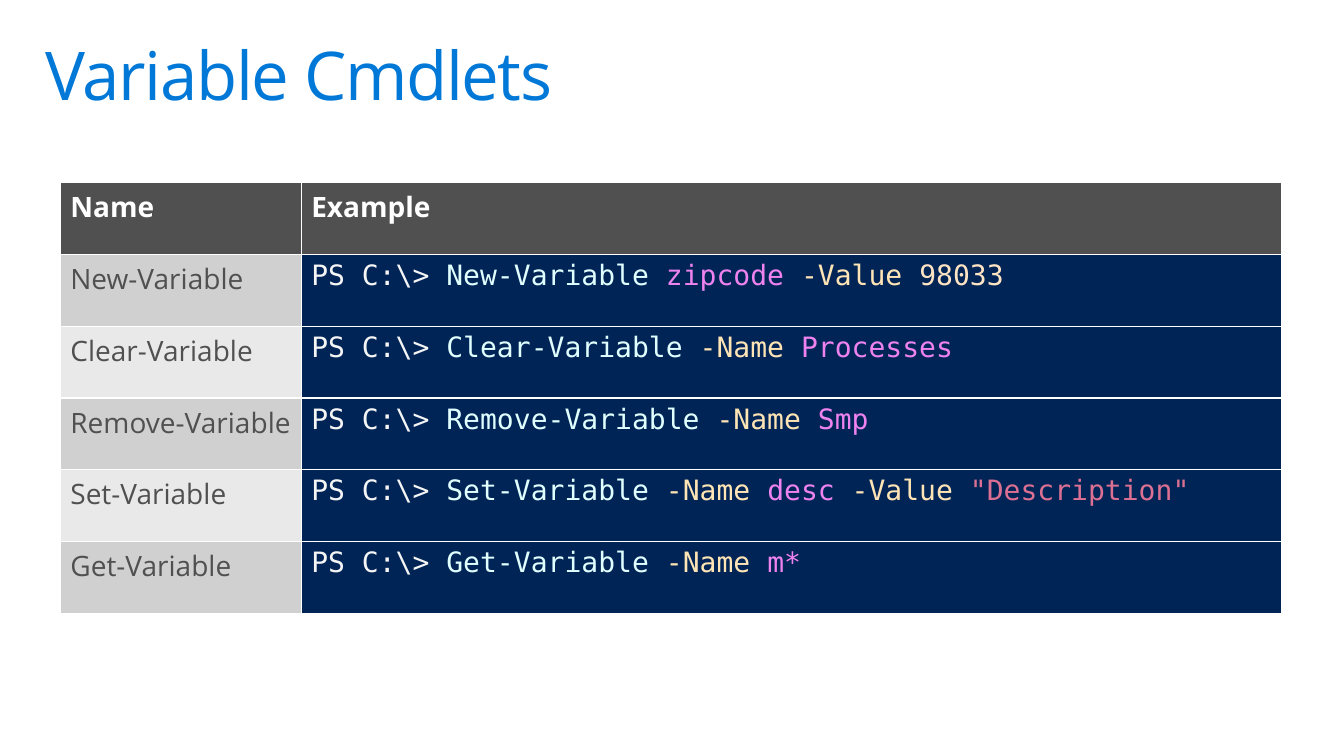
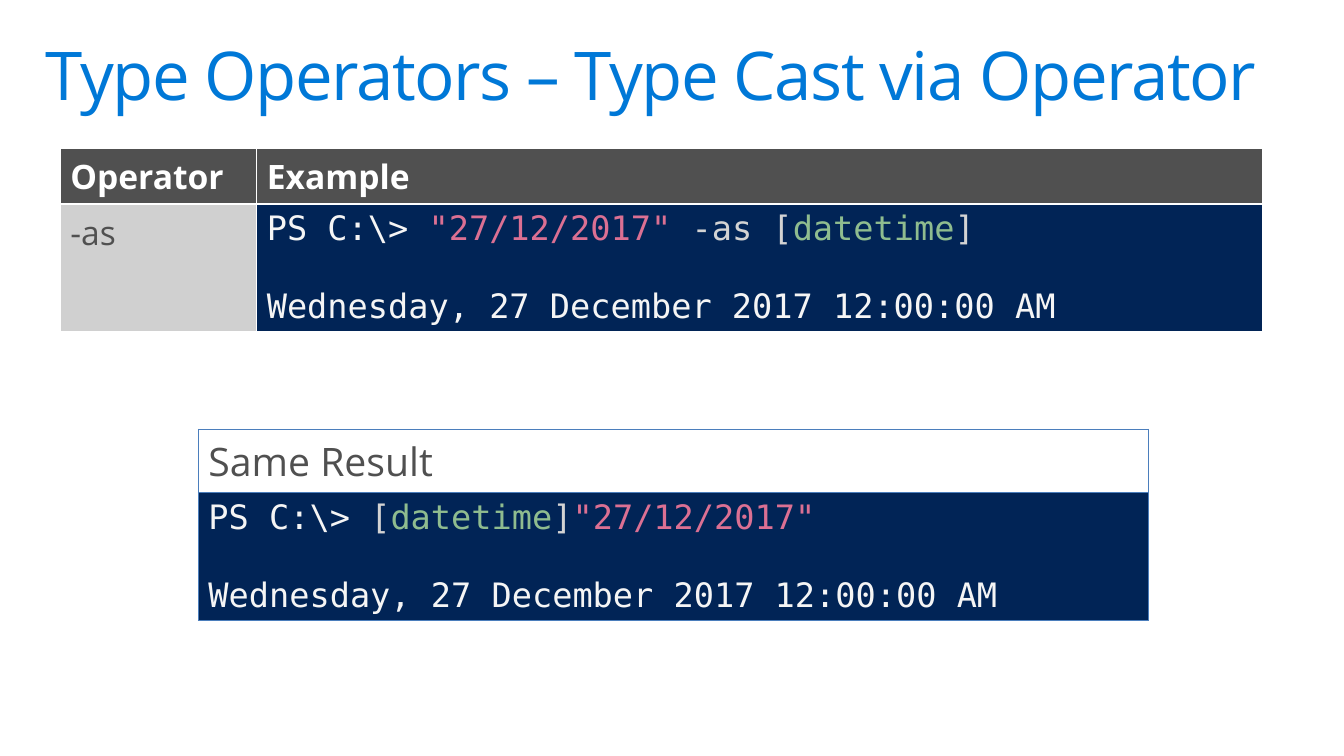
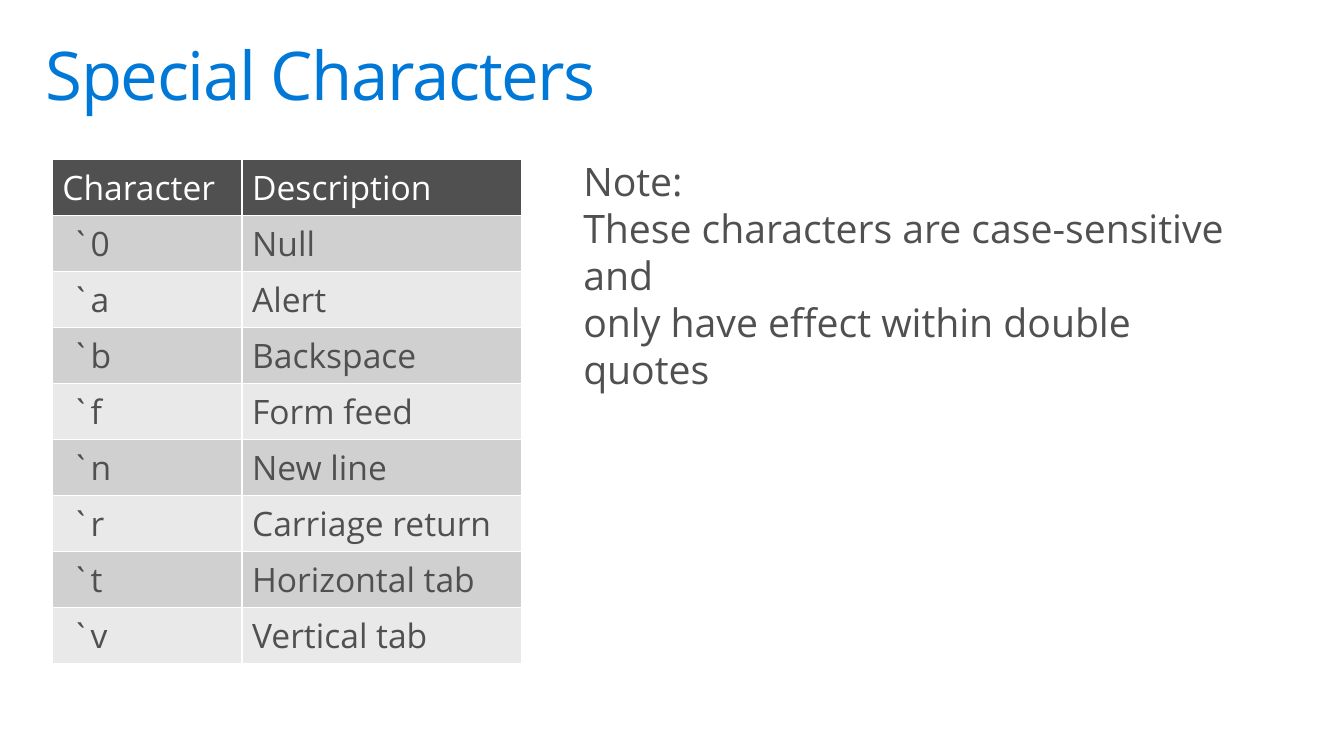
"""Build three slides on variables, type operators and special characters."""
from lxml.etree import SubElement
from pptx import Presentation
from pptx.dml.color import RGBColor as RGB
from pptx.enum.text import MSO_ANCHOR as ANCHOR, MSO_AUTO_SIZE as AUTO, PP_ALIGN as ALIGN
from pptx.oxml.ns import qn
from pptx.util import Cm, Pt

SANS, MONO = "Open Sans", "DejaVu Sans Mono"
COLORS = {
    "title": "0078D7", "dark": "505050", "white": "FFFFFF",
    "band_dark": "D0D0D0", "band_light": "E9E9E9", "outline": "4B7EBC",
    "console": "012456", "output": "F5F5F5", "command": "E0FFFF",
    "argument": "EE82EE", "parameter": "FFE4B5", "number": "FFE4C4",
    "string": "DB7093", "operator": "D3D3D3", "type": "8FBC8F",
}
DATE = '"27/12/2017"'
DATE_OUTPUT = [("Wednesday, 27 December 2017 12:00:00 AM", "output")]


def rgb(name):
    """Return the named colour."""
    return RGB.from_string(COLORS[name])


def add_run(p, text, *, size, color, font=SANS, bold=False):
    """Append a formatted run to a paragraph."""
    r = p.add_run()
    r.text = text
    r.font.name, r.font.size, r.font.bold = font, Pt(size), bold
    r.font.color.rgb = rgb(color)
    return r


def fill_text(tf, paragraphs, *, gap=0, **fmt):
    """Write paragraphs, each a list of (text, colour) runs."""
    for i, runs in enumerate(paragraphs):
        p = tf.add_paragraph() if i else tf.paragraphs[0]
        if i and gap:
            p.space_before = Pt(gap)
        for text, color in runs:
            add_run(p, text, color=color, **fmt)


def add_title_slide(prs, text):
    """Add a title-only slide with the shared title style."""
    s = prs.slides.add_slide(prs.slide_layouts[5])
    sp = s.shapes.title
    sp.left, sp.top, sp.width, sp.height = Cm(0.74), Cm(0.81), Cm(32.39), Cm(2.49)
    tf = sp.text_frame
    tf.margin_left = tf.margin_right = Cm(0.41)
    tf.margin_top = tf.margin_bottom = Cm(0.25)
    tf.vertical_anchor, tf.auto_size, tf.word_wrap = ANCHOR.TOP, AUTO.NONE, True
    p = tf.paragraphs[0]
    p.alignment, p.line_spacing = ALIGN.LEFT, 0.9
    r = add_run(p, text, size=48, color="title")
    r.font._element.set("spc", "-100")
    return s


def add_grid(s, left, top, widths, heights):
    """Add an unstyled table with the given column and row sizes in cm."""
    frame = s.shapes.add_table(len(heights), len(widths), Cm(left), Cm(top),
                               Cm(sum(widths)), Cm(sum(heights)))
    table = frame.table
    table.first_row = table.horz_banding = False
    for column, width in zip(table.columns, widths):
        column.width = Cm(width)
    for row, height in zip(table.rows, heights):
        row.height = Cm(height)
    return table


def style_cell(cell, *, fill=None, border="white", weight=1):
    """Set the borders and fill of a cell."""
    tcPr = cell._tc.get_or_add_tcPr()
    for side in ("lnL", "lnR", "lnT", "lnB"):
        ln = SubElement(tcPr, qn(f"a:{side}"), w=str(Pt(weight)))
        SubElement(SubElement(ln, qn("a:solidFill")), qn("a:srgbClr"), val=COLORS[border])
    if fill:
        cell.fill.solid()
        cell.fill.fore_color.rgb = rgb(fill)
    else:
        cell.fill.background()


def add_label(cell, text, *, size, color="dark", bold=False, **style):
    """Write a plain label in a cell."""
    style_cell(cell, **style)
    fill_text(cell.text_frame, [[(text, color)]], size=size, bold=bold)


def add_console(cell, runs, *, size, output=None, **style):
    """Write a console command, and its output if any, in a cell."""
    style_cell(cell, fill="console", **style)
    lines = [[("PS C:\\> ", "output"), *runs]]
    if output:
        lines.append(output)
    fill_text(cell.text_frame, lines, size=size, font=MONO, gap=28)


def add_header(table, labels, *, size, bold=True):
    """Write the dark header row."""
    for i, text in enumerate(labels):
        add_label(table.cell(0, i), text, size=size, color="white", bold=bold, fill="dark")


def band(row):
    """Return the fill of a body row."""
    return "band_dark" if row % 2 else "band_light"


def build_cmdlets(prs):
    """Build the slide on variable cmdlets."""
    s = add_title_slide(prs, "Variable Cmdlets")
    name = ("-Name ", "parameter")
    value = ("-Value ", "parameter")
    examples = {
        "New-Variable": [("zipcode ", "argument"), value, ("98033", "number")],
        "Clear-Variable": [name, ("Processes", "argument")],
        "Remove-Variable": [name, ("Smp", "argument")],
        "Set-Variable": [name, ("desc ", "argument"), value, ('"Description"', "string")],
        "Get-Variable": [name, ("m*", "argument")],
    }
    table = add_grid(s, 1.52, 4.6, [6.07, 24.71], [1.81] * 6)
    add_header(table, ["Name", "Example"], size=20)
    for i, (cmdlet, args) in enumerate(examples.items(), 1):
        add_label(table.cell(i, 0), cmdlet, size=20, fill=band(i))
        add_console(table.cell(i, 1), [(cmdlet + " ", "command"), *args], size=20)


def build_operators(prs):
    """Build the slide on casting with an operator."""
    s = add_title_slide(prs, "Type Operators – Type Cast via Operator")
    datetime = [("datetime", "type"), ("]", "operator")]
    table = add_grid(s, 1.52, 3.73, [4.95, 25.35], [1.41, 3.21])
    add_header(table, ["Operator", "Example"], size=24)
    add_label(table.cell(1, 0), "-as", size=24, fill=band(1))
    add_console(table.cell(1, 1), [(DATE + " ", "string"), ("-as [", "operator"), *datetime],
                size=24, output=DATE_OUTPUT)

    outline = {"border": "outline", "weight": 0.75}
    result = add_grid(s, 5, 10.82, [23.93], [1.6, 3.21])
    result.cell(0, 0).vertical_anchor = ANCHOR.MIDDLE
    add_label(result.cell(0, 0), "Same Result", size=28, **outline)
    add_console(result.cell(1, 0), [("[", "operator"), *datetime, (DATE, "string")],
                size=24, output=DATE_OUTPUT, **outline)


def build_characters(prs):
    """Build the slide on special characters."""
    s = add_title_slide(prs, "Special Characters")
    characters = {
        "0": "Null", "a": "Alert", "b": "Backspace", "f": "Form feed", "n": "New line",
        "r": "Carriage return", "t": "Horizontal tab", "v": "Vertical tab",
    }
    table = add_grid(s, 1.32, 4.01, [4.78, 7.04], [1.41] * 9)
    add_header(table, ["Character", "Description"], size=24, bold=False)
    for i, (letter, meaning) in enumerate(characters.items(), 1):
        for j, text in enumerate([f" `{letter}", meaning]):
            add_label(table.cell(i, j), text, size=24, fill=band(i))

    note = ["Note:", "These characters are case-sensitive and ",
            "only have effect within double quotes"]
    tf = s.shapes.add_textbox(Cm(14.45), Cm(3.84), Cm(17.17), Cm(3.84)).text_frame
    tf.word_wrap, tf.auto_size = True, AUTO.SHAPE_TO_FIT_TEXT
    fill_text(tf, [[(line, "dark")] for line in note], size=28)


def main():
    """Build and save the presentation."""
    prs = Presentation()
    prs.slide_width, prs.slide_height = Cm(33.87), Cm(19.05)
    build_cmdlets(prs)
    build_operators(prs)
    build_characters(prs)
    prs.save("out.pptx")


main()
